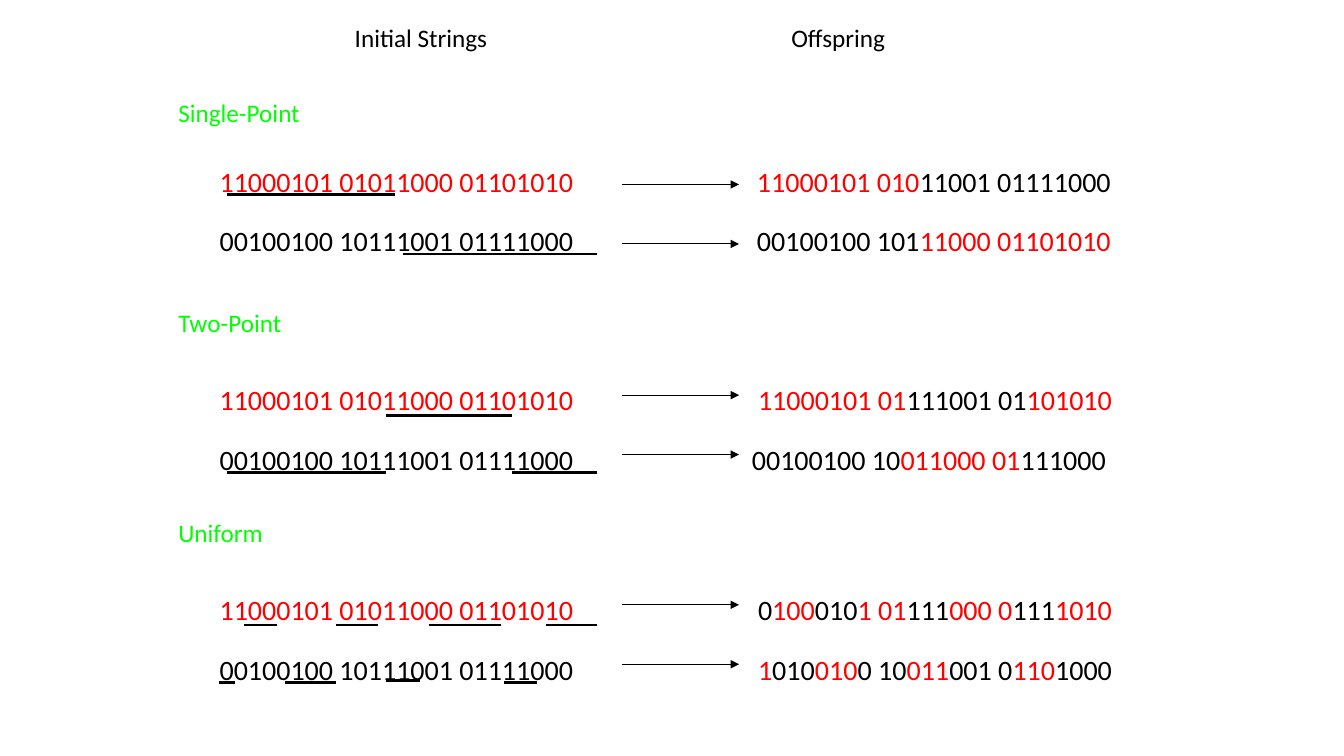
from lxml import etree
from pptx import Presentation
from pptx.dml.color import RGBColor
from pptx.enum.shapes import MSO_CONNECTOR as CONN
from pptx.enum.text import MSO_AUTO_SIZE as AUTO
from pptx.oxml.ns import qn
from pptx.util import Pt

PX = 9144
BLACK = RGBColor(0, 0, 0)
RED = RGBColor(255, 0, 0)
GREEN = RGBColor(0, 255, 0)

PARENTS = [("11000101 01011000 01101010", RED), ("00100100 10111001 01111000", BLACK)]
ROW_STEP = 59

# fmt: off
SECTIONS = [
    ("Single-Point", 92, 208, 158, 183, [
        (741, 400, RED, "11000101 010|11001 01111000"),
        (741, 400, BLACK, "00100100 101|11000 01101010"),
    ]),
    ("Two-Point", 300, 183, 375, 392, [
        (742, 400, RED, "11000101 01|111001 01|101010"),
        (736, 417, BLACK, "00100100 10|011000 01|111000"),
    ]),
    ("Uniform", 508, 183, 583, 600, [
        (742, 400, BLACK, "0|100|010|1 01|111|000 0|111|1010"),
        (742, 400, RED, "1|010|010|0 10|011|001 0|110|1000"),
    ]),
]
UNDERLINES = [
    (193, [(225, 392)]),
    (252, [(400, 592)]),
    (412, [(383, 508)]),
    (469, [(225, 383), (508, 592)]),
    (620, [(242, 275), (333, 375), (425, 497), (542, 592)]),
    (677, [(217, 233), (283, 333), (500, 533)]),
    (675, [(383, 417)]),
]


def add_run(p, text, size=18, color=BLACK, font="Calibri"):
    r = p.add_run()
    r.text = text
    r.font.size = Pt(size)
    r.font.name = font
    r.font.color.rgb = color


class Deck:
    """Holds the style and the current slide, with lengths in hundredths of an inch."""

    def __init__(self, width, height):
        self.prs = Presentation()
        self.prs.slide_width = width * PX
        self.prs.slide_height = height * PX
        self.s = self.prs.slides.add_slide(self.prs.slide_layouts[6])

    def text(self, x, y, w, h, runs, size=18, wrap=True):
        sp = self.s.shapes.add_textbox(x * PX, y * PX, w * PX, h * PX)
        tf = sp.text_frame
        tf.word_wrap = wrap
        tf.auto_size = AUTO.SHAPE_TO_FIT_TEXT
        for text, color in runs:
            add_run(tf.paragraphs[0], text, size=size, color=color)

    def bits(self, x, y, w, text, first):
        second = BLACK if first == RED else RED
        runs = [(part, (first, second)[i % 2]) for i, part in enumerate(text.split("|"))]
        self.text(x, y, w, 43, runs, size=20)

    def line(self, x1, x2, y, width=2, arrow=False):
        cx = self.s.shapes.add_connector(CONN.STRAIGHT, x1 * PX, y * PX, x2 * PX, y * PX)
        cx.line.color.rgb = BLACK
        cx.line.width = Pt(width)
        if arrow:
            ln = cx.line._get_or_add_ln()
            etree.SubElement(ln, qn("a:tailEnd"), type="triangle")
        etree.SubElement(cx._element.spPr, qn("a:effectLst"))


def main():
    deck = Deck(1333, 750)
    deck.text(342, 17, 153, 40, [("Initial Strings", BLACK)], wrap=False)
    deck.text(775, 17, 115, 40, [("Offspring", BLACK)], wrap=False)
    for name, top, width, strings_top, arrow_top, offspring in SECTIONS:
        deck.text(167, top, width, 40, [(name, GREEN)])
        for i, (parent, child) in enumerate(zip(PARENTS, offspring)):
            y = strings_top + i * ROW_STEP
            bits, color = parent
            x, w, first, mixed = child
            deck.bits(208, y, 400, bits, color)
            deck.bits(x, y, w, mixed, first)
            deck.line(617, 733, arrow_top + i * ROW_STEP, width=0.75, arrow=True)
    for y, spans in UNDERLINES:
        for x1, x2 in spans:
            deck.line(x1, x2, y)
    deck.prs.save("out.pptx")


if __name__ == "__main__":
    main()
